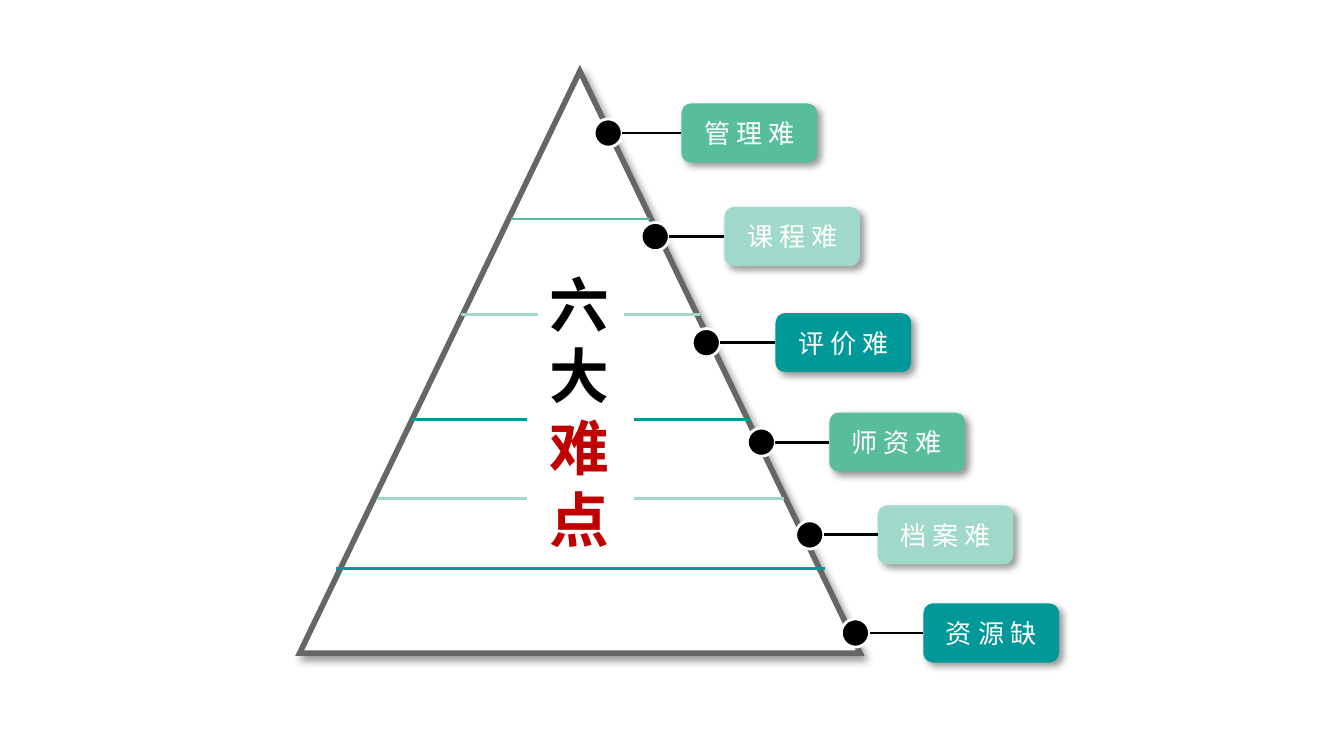
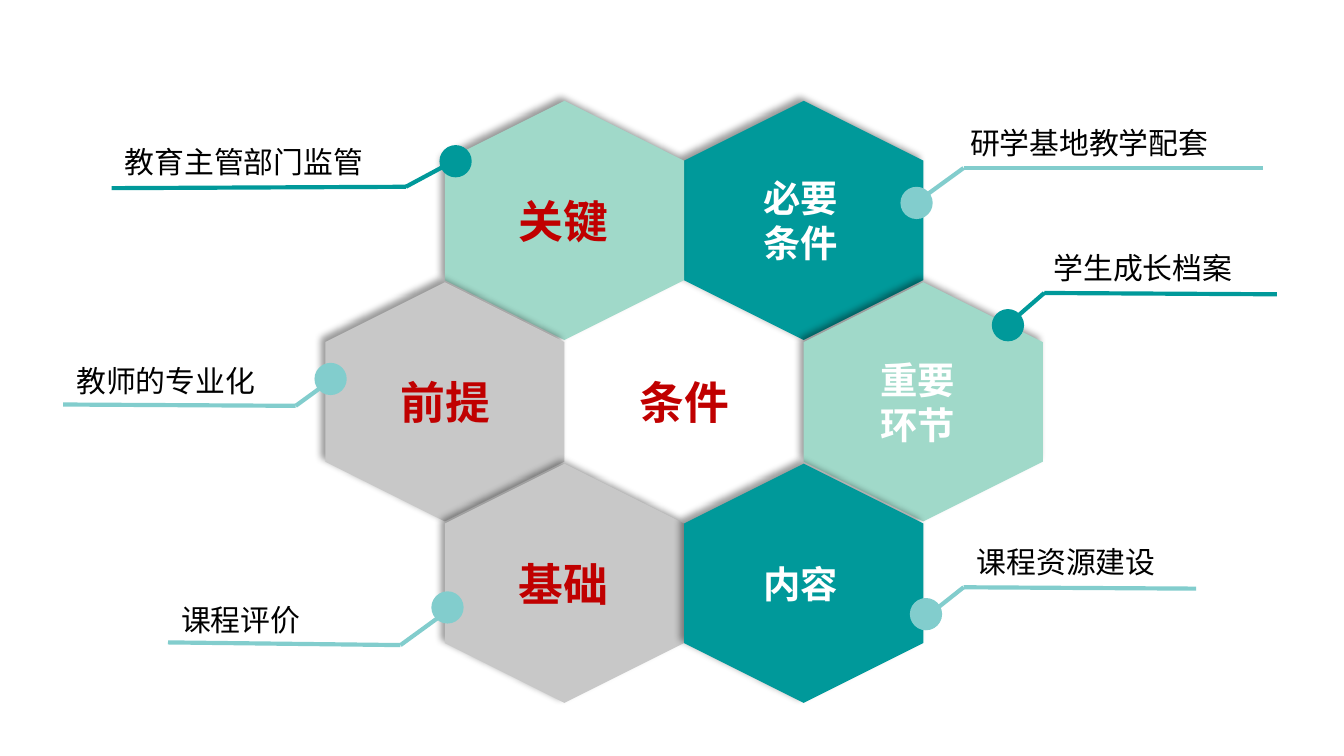
from lxml import etree
from pptx import Presentation
from pptx import util as u
from pptx.dml.color import RGBColor
from pptx.enum import shapes, text
from pptx.oxml import ns

FONT = "Noto Sans CJK SC"
LINE_HEIGHT = 1.2
SLIDE_WIDTH = 10
SLIDE_HEIGHT = SLIDE_WIDTH * 9 / 16
COLORS = {
    "white": "FFFFFF", "black": "000000", "red": "C00000", "outline": "666666",
    "green": "58BD9B", "mint": "A0D9C9", "teal": "00999A", "deep teal": "009899",
    "aqua": "82CDCD", "silver": "C8C8C8",
}

PYRAMID = (2.23, 0.53, 4.17, 4.33)
PYRAMID_CENTER = 4.32
PYRAMID_TITLE = [("六大", "black"), ("难点", "red")]
RUNGS = [
    (1.63, 0.52, 0, "green"),
    (2.34, 0.89, 0.32, "mint"),
    (3.12, 1.26, 0.4, "teal"),
    (3.71, 1.51, 0.4, "mint"),
    (4.23, 1.82, 0, "deep teal"),
]
LABEL_WIDTH, LABEL_HEIGHT, DOT = 1.01, 0.44, 0.21
DIFFICULTIES = [
    ("管 理 难", 5.07, 0.77, 4.42, "green"),
    ("课 程 难", 5.39, 1.54, 4.77, "mint"),
    ("评 价 难", 5.77, 2.33, 5.15, "teal"),
    ("师 资 难", 6.17, 3.07, 5.56, "green"),
    ("档 案 难", 6.53, 3.76, 5.92, "mint"),
    ("资 源 缺", 6.87, 4.49, 6.26, "deep teal"),
]

HEX, HEX_LEFT, HEX_TOP, ROW_STEP = 1.78, 4.2, 2.1, 1.35
RED_STYLE = {"size": 24, "color": "red", "width": 1.02, "inset": 0.1}
WHITE_STYLE = {"size": 20, "color": "white", "width": 0.97, "inset": 0.15}
HEXAGONS = [
    (1, -1, "teal", "必要\n条件", 0.44, WHITE_STYLE),
    (-1, -1, "mint", "关键", 0.45, RED_STYLE),
    (-2, 0, "silver", "前提", 0.46, RED_STYLE),
    (2, 0, "mint", "重要\n环节", 0.42, WHITE_STYLE),
    (-1, 1, "silver", "基础", 0.45, RED_STYLE),
    (1, 1, "teal", "内容", 0.44, WHITE_STYLE),
    (0, 0, None, "条件", 0.46, RED_STYLE),
]
CALLOUT_DOT, CALLOUT_TEXT_HEIGHT = 0.24, 0.37
CALLOUTS = [
    ("教育主管部门监管", 0.83, 1.98, (3.27, 1.08), [(3.43, 1.17), (3.02, 1.39), (0.83, 1.4)], "teal"),
    ("教师的专业化", 0.47, 1.63, (2.34, 2.7), [(2.53, 2.78), (2.2, 3.02), (0.47, 3.01)], "aqua"),
    ("课程评价", 1.25, 1.32, (3.21, 4.4), [(3.31, 4.56), (2.98, 4.8), (1.25, 4.78)], "aqua"),
    ("课程资源建设", 7.17, 1.66, (6.77, 4.45), [(6.93, 4.56), (7.17, 4.37), (8.9, 4.38)], "aqua"),
    ("学生成长档案", 7.74, 1.68, (7.38, 2.3), [(7.54, 2.38), (7.77, 2.18), (9.5, 2.19)], "teal"),
    ("研学基地教学配套", 7.12, 2.91, (6.7, 1.39), [(6.84, 1.49), (7.17, 1.25), (9.4, 1.25)], "aqua"),
]


def rgb(color):
    return RGBColor.from_string(COLORS[color])


def format_run(run, size, color, bold=False):
    run.font.size = u.Pt(size)
    run.font.bold = bold
    run.font.color.rgb = rgb(color)
    run.font.name = FONT
    properties = run._r.get_or_add_rPr()
    etree.SubElement(properties, ns.qn("a:ea")).set("typeface", FONT)


def format_frame(frame, size, color, bold=False):
    for paragraph in frame.paragraphs:
        for run in paragraph.runs:
            format_run(run, size, color, bold)


def add_shadow(shape, direction):
    effects = shape._element.spPr.find(ns.qn("a:effectLst"))
    shadow = etree.SubElement(
        effects, ns.qn("a:outerShdw"), blurRad=str(u.Pt(4)), dist=str(u.Pt(3)),
        dir=str(direction * 60000), algn="ctr", rotWithShape="0")
    color = etree.SubElement(shadow, ns.qn("a:srgbClr"), val=COLORS["black"])
    etree.SubElement(color, ns.qn("a:alpha"), val="40000")


def add_shape(slide, kind, box, fill, line=None, weight=0, shadow=None):
    shape = slide.shapes.add_shape(kind, *map(u.Inches, box))
    shape.shadow.inherit = False
    shape.fill.solid()
    shape.fill.fore_color.rgb = rgb(fill)
    if line:
        shape.line.color.rgb = rgb(line)
        shape.line.width = u.Pt(weight)
        outline = shape._element.spPr.find(ns.qn("a:ln"))
        etree.SubElement(outline, ns.qn("a:miter"), lim="800000")
    else:
        shape.line.fill.background()
    if shadow is not None:
        add_shadow(shape, shadow)
    return shape


def add_line(slide, start, end, color, weight):
    line = slide.shapes.add_connector(
        shapes.MSO_CONNECTOR.STRAIGHT, *map(u.Inches, (*start, *end)))
    line.line.color.rgb = rgb(color)
    line.line.width = u.Pt(weight)
    etree.SubElement(line._element.spPr, ns.qn("a:effectLst"))
    return line


def add_text(slide, box, words, size, color, bold=False, inset=0.1):
    textbox = slide.shapes.add_textbox(*map(u.Inches, box))
    frame = textbox.text_frame
    frame.word_wrap = True
    frame.auto_size = text.MSO_AUTO_SIZE.SHAPE_TO_FIT_TEXT
    frame.margin_left = u.Inches(inset)
    frame.text = words
    format_frame(frame, size, color, bold)
    return frame


def add_pyramid_title(slide):
    frame = add_text(slide, (3.99, 1.94, 0.63, 2.26), "", 32, "black")
    for words, color in PYRAMID_TITLE:
        run = frame.paragraphs[0].add_run()
        run.text = words
        format_run(run, 32, color, True)


def add_rung(slide, y, outer, inner, color):
    center = PYRAMID_CENTER
    if inner:
        spans = [(center - outer, center - inner), (center + inner, center + outer)]
    else:
        spans = [(center - outer, center + outer)]
    for left, right in spans:
        add_line(slide, (left, y), (right, y), color, 1.5)


def add_difficulty(slide, words, left, top, dot_left, color):
    label = add_shape(slide, shapes.MSO_SHAPE.ROUNDED_RECTANGLE,
                      (left, top, LABEL_WIDTH, LABEL_HEIGHT), color, shadow=45)
    frame = label.text_frame
    frame.text = words
    frame.vertical_anchor = text.MSO_ANCHOR.MIDDLE
    frame.paragraphs[0].alignment = text.PP_ALIGN.CENTER
    format_frame(frame, 14, "white")
    middle = top + LABEL_HEIGHT / 2
    add_shape(slide, shapes.MSO_SHAPE.OVAL,
              (dot_left, middle - DOT / 2, DOT, DOT), "black", "white", 1.5)
    link = add_line(slide, (dot_left + DOT, middle), (left, middle), "black", 1.5)
    link.end_connect(label, 1)


def hexagon_corner(column, row):
    return HEX_LEFT + column * HEX / 2, HEX_TOP + row * ROW_STEP


def add_hexagon(slide, column, row, fill):
    hexagon = add_shape(slide, shapes.MSO_SHAPE.HEXAGON,
                        (*hexagon_corner(column, row), HEX, HEX), fill, shadow=225)
    hexagon.rotation = 270


def add_hexagon_text(slide, column, row, words, shift, style):
    left, top = hexagon_corner(column, row)
    lines = len(words.split("\n"))
    height = 0.1 + lines * style["size"] * LINE_HEIGHT / 72
    box = (left + shift, top + (HEX - height) / 2, style["width"], height)
    add_text(slide, box, words, style["size"], style["color"], True, style["inset"])


def add_callout(slide, words, left, width, dot, points, color):
    for start, end in zip(points, points[1:]):
        add_line(slide, start, end, color, 2.25)
    add_shape(slide, shapes.MSO_SHAPE.OVAL, (*dot, CALLOUT_DOT, CALLOUT_DOT), color)
    top = points[1][1] - CALLOUT_TEXT_HEIGHT
    add_text(slide, (left, top, width, CALLOUT_TEXT_HEIGHT), words, 16, "black")


def build_pyramid(slide):
    add_shape(slide, shapes.MSO_SHAPE.ISOSCELES_TRIANGLE, PYRAMID,
              "white", "outline", 3, 45)
    add_pyramid_title(slide)
    for rung in RUNGS:
        add_rung(slide, *rung)
    for difficulty in DIFFICULTIES:
        add_difficulty(slide, *difficulty)


def build_honeycomb(slide):
    for column, row, fill, *_ in HEXAGONS:
        if fill:
            add_hexagon(slide, column, row, fill)
    for column, row, _, words, shift, style in HEXAGONS:
        add_hexagon_text(slide, column, row, words, shift, style)
    for callout in CALLOUTS:
        add_callout(slide, *callout)


def main():
    presentation = Presentation()
    presentation.slide_width = u.Inches(SLIDE_WIDTH)
    presentation.slide_height = u.Inches(SLIDE_HEIGHT)
    blank = presentation.slide_layouts[6]
    for build in (build_pyramid, build_honeycomb):
        build(presentation.slides.add_slide(blank))
    presentation.save("out.pptx")


if __name__ == "__main__":
    main()
